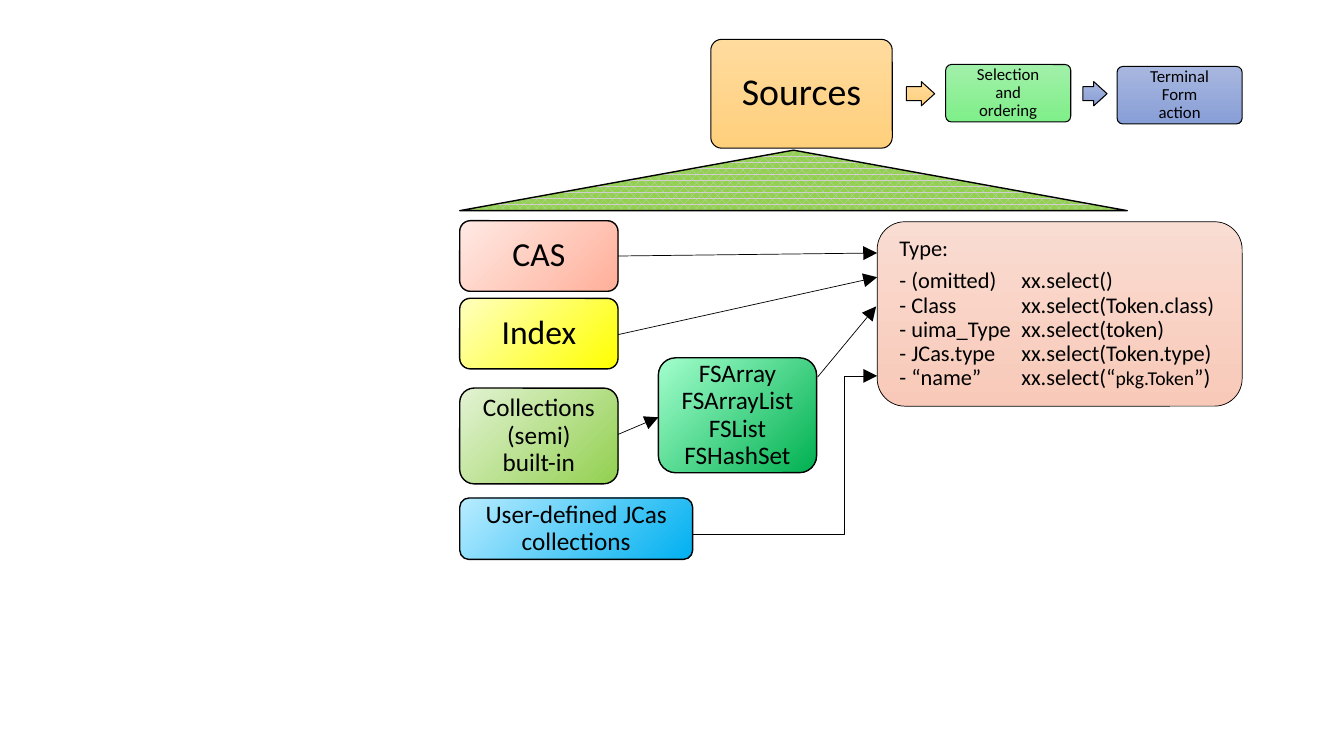
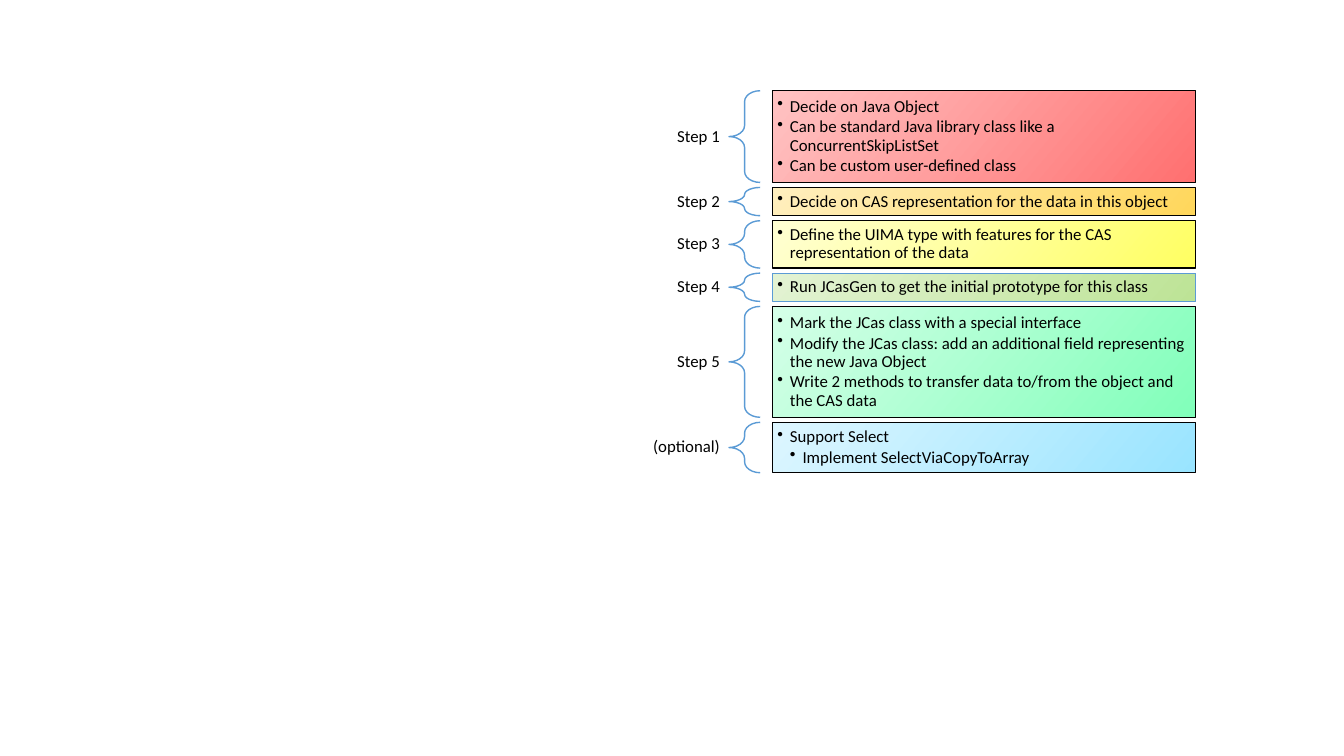
from lxml import etree
from pptx import Presentation, util as u
from pptx.dml.color import RGBColor
from pptx.enum import dml, shapes, text
from pptx.oxml.ns import qn

COLORS = {
    "ink": "000000", "brace": "5B9BD5",
    "sources": ("FFDB9E", "FFD07C"), "selection": ("A1F0A9", "7FEF89"),
    "terminal": ("A8B7DF", "889ED7"), "cas": ("FFEAE5", "FFAF99"),
    "index": ("FFFFC0", "FFFF00"), "collections": ("E4F3D4", "92D050"),
    "arrays": ("A3FFCD", "00B050"), "user": ("B9ECFF", "00B0F0"),
    "type": ("F9DCD2", "F8C9B8"),
    "roof": ("D0CECE", "92D050"),
    "step1": ("FFC3C3", "FF7070"), "step2": ("FFEFBF", "FFD75B"),
    "step3": ("FFFFD3", "FFFF62"), "step4": ("E3F3D3", "BDE396"),
    "step5": ("D5FFE8", "81FFBA"), "optional": ("DDF6FF", "99E4FF"),
}
FONT = "Calibri"
SHAPE, ALIGN = shapes.MSO_SHAPE, text.PP_ALIGN
rgb = RGBColor.from_string

prs = Presentation()
prs.slide_width, prs.slide_height = u.Inches(13.33), u.Inches(7.5)
blank = prs.slide_layouts[6]


def add_box(s, kind, at, fill=None, angle=45, line="ink", width=1):
    """Add a shadowless preset shape with a gradient fill and a line."""
    sp = s.shapes.add_shape(kind, *map(u.Inches, at))
    sp.shadow.inherit = False
    if fill:
        sp.fill.gradient()
        sp.fill.gradient_angle = 360 - angle
        for stop, color in zip(sp.fill.gradient_stops, COLORS[fill]):
            stop.color.rgb = rgb(color)
    else:
        sp.fill.background()
    sp.line.color.rgb = rgb(COLORS[line])
    sp.line.width = u.Pt(width)
    if kind == SHAPE.ROUNDED_RECTANGLE:
        sp.adjustments[0] = 0.15
    return sp


def write(sp, paragraphs, size, insets, align=ALIGN.CENTER, after=0.35):
    """Fill a shape with paragraphs centred vertically within its insets."""
    tf = sp.text_frame
    tf.word_wrap = True
    tf.vertical_anchor = text.MSO_ANCHOR.MIDDLE
    tf.margin_left = tf.margin_right = u.Inches(insets[0])
    tf.margin_top = tf.margin_bottom = u.Inches(insets[1])
    for i, words in enumerate(paragraphs):
        p = tf.add_paragraph() if i else tf.paragraphs[0]
        p.text = words
        p.alignment = align
        p.line_spacing = 0.9
        p.space_after = u.Pt(size * after)
        p.font.name, p.font.size = FONT, u.Pt(size)
        p.font.color.rgb = rgb(COLORS["ink"])
    return tf


# Slide 1: sources of a select
s = prs.slides.add_slide(blank)
ROUND = SHAPE.ROUNDED_RECTANGLE
LEFT, COL = 4.56, 1.57

pipeline = [
    ("sources", (7.05, 0.39, 1.8, 1.08), "Sources", 27),
    ("selection", (9.38, 0.64, 1.24, 0.57), "Selection\nand\nordering", 12),
    ("terminal", (11.08, 0.66, 1.24, 0.57), "Terminal\nForm\naction", 12),
]
for fill, at, words, size in pipeline:
    sp = add_box(s, ROUND, at, fill, 90, width=0.75)
    sp.adjustments[0] = 0.1
    write(sp, [words], size, (0.15, 0.15))

for fill, left, width in (("sources", 8.99, 0.28), ("terminal", 10.74, 0.24)):
    sp = add_box(s, SHAPE.RIGHT_ARROW, (left, 0.81, width, 0.24), fill, 90, width=0.75)
    sp.adjustments[0] = 0.58
    sp.adjustments[1] = 0.55

roof = add_box(s, SHAPE.FLOWCHART_EXTRACT, (LEFT, 1.49, 6.62, 0.6))
roof.fill.patterned()
roof.fill.pattern = dml.MSO_PATTERN.PERCENT_60
roof.fill.fore_color.rgb, roof.fill.back_color.rgb = map(rgb, COLORS["roof"])

boxes = [
    ("cas", (LEFT, 2.19, COL, 0.7), "CAS", 24),
    ("index", (LEFT, 2.96, COL, 0.7), "Index", 24),
    ("collections", (LEFT, 3.85, COL, 0.95), "Collections\n(semi)\nbuilt-in", 18),
    ("arrays", (6.53, 3.55, COL, 1.14), "FSArray\nFSArrayList\nFSList\nFSHashSet", 18),
    ("user", (LEFT, 4.94, 2.31, 0.61), "User-defined JCas\ncollections", 18),
]
for fill, at, words, size in boxes:
    sp = add_box(s, ROUND, at, fill)
    write(sp, [words], size, (0.1, 0.05))

forms = "\n".join([
    "- (omitted)\txx.select()", "- Class\txx.select(Token.class)",
    "- uima_Type\txx.select(token)", "- JCas.type\txx.select(Token.type)",
    "- “name”\txx.select(“",
])
sp = add_box(s, ROUND, (8.7, 2.2, 3.62, 1.83), "type", 90, width=0.5)
p = write(sp, ["Type:", forms], 16, (0.14, 0.05), ALIGN.LEFT).paragraphs[1]
r = p.add_run()
r.text, r.font.size = "pkg.Token", u.Pt(14)
p.add_run().text = "”)"
tabs = etree.Element(qn("a:tabLst"))
etree.SubElement(tabs, qn("a:tab"), pos=str(u.Inches(1.21)), algn="l")
p._p.get_or_add_pPr().insert_element_before(tabs, "a:defRPr")

STRAIGHT, ELBOW = shapes.MSO_CONNECTOR.STRAIGHT, shapes.MSO_CONNECTOR.ELBOW
arrows = [
    (STRAIGHT, 6.13, 2.54, 8.7, 2.51), (STRAIGHT, 6.13, 3.32, 8.7, 2.75),
    (STRAIGHT, 6.13, 4.31, 6.53, 4.14), (STRAIGHT, 8.11, 3.74, 8.69, 3.04),
    (ELBOW, 6.87, 5.3, 8.7, 3.73),
]
for kind, *ends in arrows:
    arrow = s.shapes.add_connector(kind, *map(u.Inches, ends))
    arrow.line.color.rgb, arrow.line.width = rgb(COLORS["ink"]), u.Pt(0.5)
    props = arrow._element.spPr
    etree.SubElement(props.find(qn("a:ln")), qn("a:tailEnd"),
                     type="triangle", w="lg", len="lg")
    etree.SubElement(props, qn("a:effectLst"))
    if kind == ELBOW:
        guides = props.find(qn("a:prstGeom")).find(qn("a:avLst"))
        etree.SubElement(guides, qn("a:gd"), name="adj1", fmla="val 82400")

# Slide 2: steps for a custom Java object
s = prs.slides.add_slide(blank)
TOP, GAP, LABEL_H, INDENT = 0.9, 0.05, 0.26, 0.125
steps = [
    ("step1", "Step 1", 0.91, [
        "Decide on Java Object",
        "Can be standard Java library class like a ConcurrentSkipListSet",
        "Can be custom user-defined class"]),
    ("step2", "Step 2", 0.28, ["Decide on CAS representation for the data in this object"]),
    ("step3", "Step 3", 0.47, [
        "Define the UIMA type with features for the CAS representation of the data"]),
    ("step4", "Step 4", 0.28, ["Run JCasGen to get the initial prototype for this class"]),
    ("step5", "Step 5", 1.1, [
        "Mark the JCas class with a special interface",
        "Modify the JCas class: add an additional field representing the new Java Object",
        "Write 2 methods to transfer data to/from the object and the CAS data"]),
    ("optional", "(optional)", 0.5, ["Support Select", "Implement SelectViaCopyToArray"]),
]
top = TOP
for fill, name, height, items in steps:
    label_at = (5.69, top + (height - LABEL_H) / 2, 1.54, LABEL_H)
    label = s.shapes.add_textbox(*map(u.Inches, label_at))
    write(label, [name], 12, (0.09, 0.03), ALIGN.RIGHT)

    brace = add_box(s, SHAPE.LEFT_BRACE, (7.23, top, 0.31, height), line="brace")
    brace.adjustments[0] = 0.35

    thin = fill == "step4"
    card = add_box(s, SHAPE.RECTANGLE, (7.66, top, 4.2, height), fill, 40,
                   "brace" if thin else "ink", 0.5 if thin else 1)
    tf = write(card, items, 12, (0.05, 0.05), ALIGN.LEFT, 0.15)
    for i, p in enumerate(tf.paragraphs):
        p.level = 2 if fill == "optional" and i else 1
        p.runs[0].font.size = u.Pt(12)  # the bullet takes its size from the run
        props = p._p.get_or_add_pPr()
        props.set("marL", str(u.Inches(INDENT * p.level)))
        props.set("indent", str(u.Inches(-INDENT)))
        bullet = etree.Element(qn("a:buChar"), char="•")
        props.insert_element_before(bullet, "a:defRPr")
    top += height + GAP

prs.save("out.pptx")
